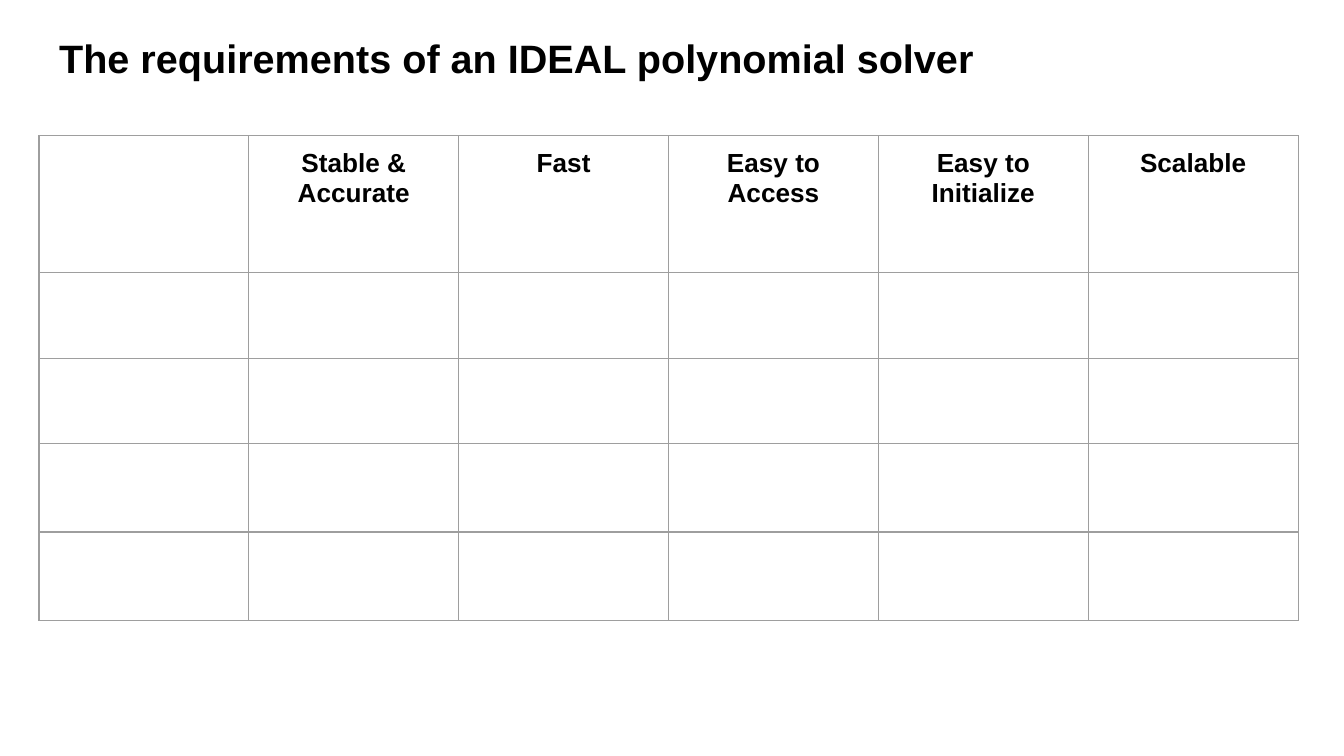
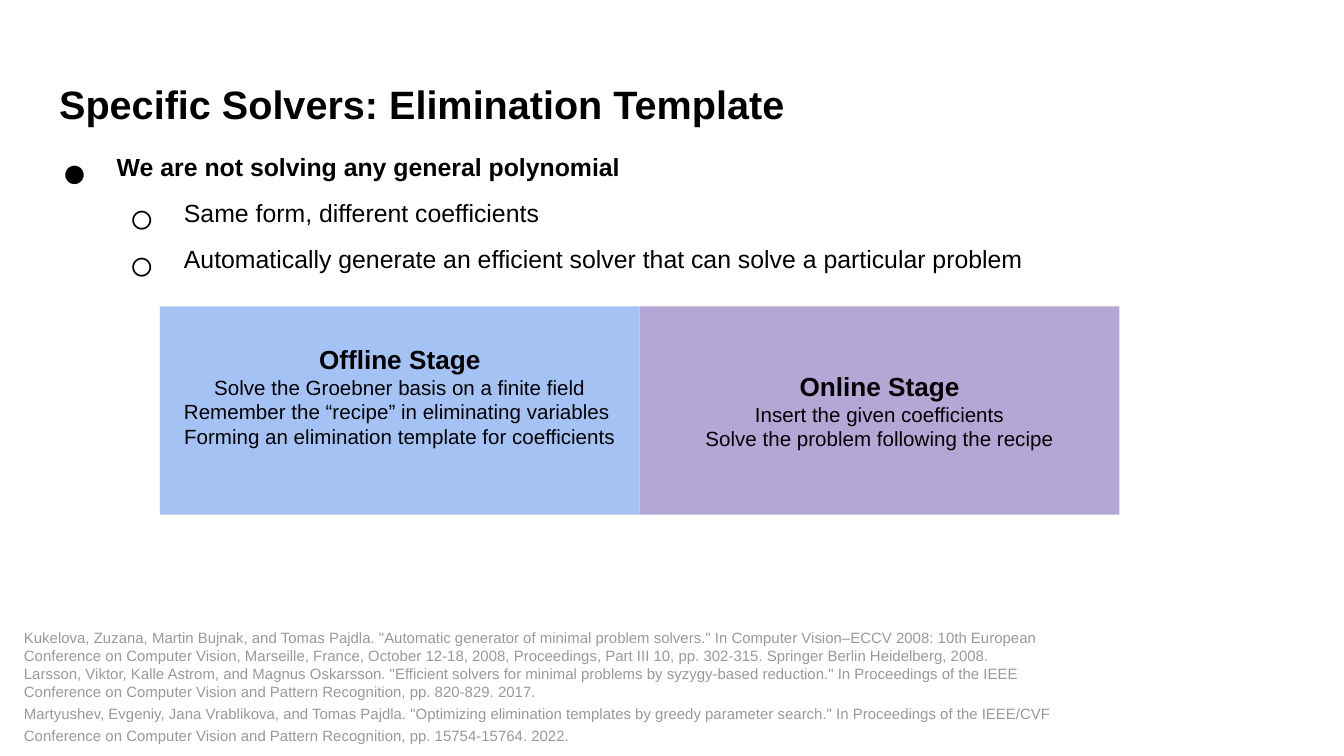
from lxml import etree
from pptx import Presentation
from pptx.dml.color import RGBColor
from pptx.enum.shapes import MSO_SHAPE
from pptx.enum.text import MSO_ANCHOR, MSO_AUTO_SIZE, PP_ALIGN
from pptx.oxml.ns import qn
from pptx.util import Inches, Pt

RECT = MSO_SHAPE.RECTANGLE
TOP, MIDDLE = MSO_ANCHOR.TOP, MSO_ANCHOR.MIDDLE
LEFT, CENTER = PP_ALIGN.LEFT, PP_ALIGN.CENTER
FONT = "Arial"
BLACK, GREY, RULE = "000000", "999999", "9E9E9E"
BLUE, PURPLE = "A4C2F4", "B4A7D6"
INSET = 0.1

HEADS = ["", "Stable & Accurate", "Fast", "Easy to Access",
         "Easy to Initialize", "Scalable"]
ROWS = [1.02, 0.64, 0.63, 0.66, 0.66]
POINTS = [
    (0, "We are not solving any general polynomial"),
    (1, "Same form, different coefficients"),
    (1, "Automatically generate an efficient solver that can solve "
        "a particular problem"),
]
# Heading, lines, fill, bottom inset
STAGES = [
    ("Offline Stage",
     ["Solve the Groebner basis on a finite field",
      "Remember the “recipe” in eliminating variables ",
      "Forming an elimination template for coefficients"], BLUE, 0.32),
    ("Online Stage",
     ["Insert the given coefficients",
      "Solve the problem following the recipe"], PURPLE, INSET),
]
# Line spacing, citation
PAPERS = [
    (1, 'Kukelova, Zuzana, Martin Bujnak, and Tomas Pajdla. "Automatic '
        'generator of minimal problem solvers." In Computer Vision–ECCV 2008: '
        '10th European Conference on Computer Vision, Marseille, France, '
        'October 12-18, 2008, Proceedings, Part III 10, pp. 302-315. '
        'Springer Berlin Heidelberg, 2008.'),
    (1, 'Larsson, Viktor, Kalle Astrom, and Magnus Oskarsson. "Efficient '
        'solvers for minimal problems by syzygy-based reduction." In '
        'Proceedings of the IEEE Conference on Computer Vision and Pattern '
        'Recognition, pp. 820-829. 2017.'),
    (1.24, 'Martyushev, Evgeniy, Jana Vrablikova, and Tomas Pajdla. '
           '"Optimizing elimination templates by greedy parameter search." In '
           'Proceedings of the IEEE/CVF Conference on Computer Vision and '
           'Pattern Recognition, pp. 15754-15764. 2022.'),
]


def color(code):
    return RGBColor.from_string(code)


def style(para, size, bold=False, code=BLACK, align=LEFT, lines=None):
    para.alignment = align
    if lines:
        para.line_spacing = lines
    for run in para.runs:
        font = run.font
        font.name, font.size, font.bold = FONT, Pt(size), bold
        font.color.rgb = color(code)


def set_frame(frame, anchor=TOP, bottom=INSET):
    frame.word_wrap = True
    frame.auto_size = MSO_AUTO_SIZE.NONE
    frame.vertical_anchor = anchor
    frame.margin_left = frame.margin_right = Inches(INSET)
    frame.margin_top, frame.margin_bottom = Inches(INSET), Inches(bottom)


def add_text(slide, box, texts):
    """Add a text box with one paragraph for each text; return its paragraphs."""
    frame = slide.shapes.add_textbox(*map(Inches, box)).text_frame
    set_frame(frame)
    frame.text = "\n".join(texts)
    return frame.paragraphs


def add_slide(deck, title, top):
    slide = deck.slides.add_slide(deck.slide_layouts[5])
    head = slide.shapes.title
    head.left, head.top = Inches(0.34), Inches(top)
    head.width, head.height = Inches(9.32), Inches(0.63)
    frame = head.text_frame
    set_frame(frame, MIDDLE, 0.13)
    frame.text = title
    style(frame.paragraphs[0], 21.2, True, lines=0.9)
    return slide


def add_borders(cell):
    props = cell._tc.get_or_add_tcPr()
    for i, side in enumerate(("lnL", "lnR", "lnT", "lnB")):
        line = etree.Element(qn("a:" + side), w=str(Pt(0.75)))
        fill = etree.SubElement(line, qn("a:solidFill"))
        etree.SubElement(fill, qn("a:srgbClr"), val=RULE)
        props.insert(i, line)


def add_grid(slide, box):
    shape = slide.shapes.add_table(len(ROWS), len(HEADS), *map(Inches, box))
    table = shape.table
    table.first_row = table.horz_banding = False
    for col in table.columns:
        col.width = Inches(box[2] / len(HEADS))
    for row, high in zip(table.rows, ROWS):
        row.height = Inches(high)
    for cell in table.iter_cells():
        cell.fill.background()
        cell.margin_left = cell.margin_right = Inches(INSET)
        cell.margin_top = cell.margin_bottom = Inches(INSET)
        add_borders(cell)
    for cell, text in zip(table.rows[0].cells, HEADS):
        if text:
            cell.text = text
            style(cell.text_frame.paragraphs[0], 14, True, align=CENTER)


def add_bullet(para, level):
    props = para._p.get_or_add_pPr()
    props.set("marL", str(Inches(0.5 * (level + 1))))
    props.set("indent", str(Inches(-0.41)))
    tint = etree.SubElement(props, qn("a:buClr"))
    etree.SubElement(tint, qn("a:srgbClr"), val=BLACK)
    etree.SubElement(props, qn("a:buFont"), typeface=FONT)
    etree.SubElement(props, qn("a:buChar"), char="●○"[level])


def add_points(slide, box):
    paras = add_text(slide, box, [text for _, text in POINTS])
    for para, (level, _) in zip(paras, POINTS):
        add_bullet(para, level)
        para.level = level
        style(para, 23, level == 0, lines=0.9)
        for run in para.runs:
            run._r.get_or_add_rPr().set("baseline", "30000")


def add_stages(slide, box):
    """Fill the box with equal panels side by side."""
    left, top, width, height = box
    wide = width / len(STAGES)
    group = slide.shapes.add_group_shape()
    for i, (head, texts, fill, bottom) in enumerate(STAGES):
        panel = group.shapes.add_shape(
            RECT, *map(Inches, (left + i * wide, top, wide, height)))
        panel.shadow.inherit = False
        panel.fill.solid()
        panel.fill.fore_color.rgb = color(fill)
        panel.line.fill.background()
        frame = panel.text_frame
        set_frame(frame, MIDDLE, bottom)
        frame.text = "\n".join([head] + texts)
        for j, para in enumerate(frame.paragraphs):
            style(para, 11 if j else 14, j == 0, align=CENTER)


def add_papers(slide, box):
    paras = add_text(slide, box, [text for _, text in PAPERS])
    for para, (lines, _) in zip(paras, PAPERS):
        style(para, 8, code=GREY, lines=lines)


def main():
    deck = Presentation()
    deck.slide_width = Inches(10)
    deck.slide_height = deck.slide_width * 9 // 16

    needs = add_slide(deck, "The requirements of an IDEAL polynomial solver", 0.15)
    add_grid(needs, (0.29, 1.01, 9.37, sum(ROWS)))

    solver = add_slide(deck, "Specific Solvers: Elimination Template", 0.49)
    add_points(solver, (0.27, 1.03, 9.41, 4.44))
    add_stages(solver, (1.19, 2.28, 7.14, 1.55))
    add_papers(solver, (0.08, 4.58, 7.94, 1.04))

    deck.save("out.pptx")


if __name__ == "__main__":
    main()
